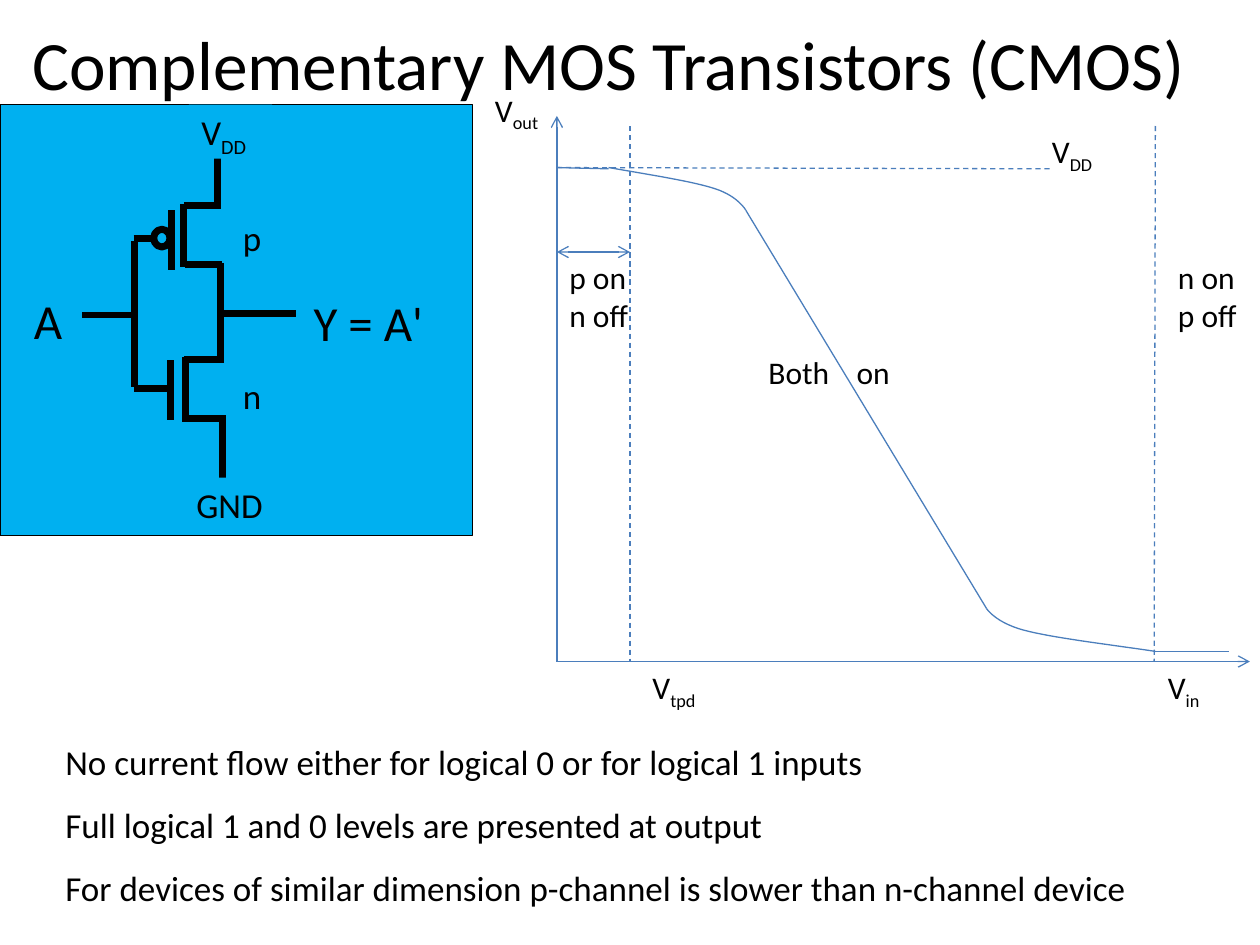
from lxml import etree
from pptx import Presentation
from pptx.dml.color import RGBColor
from pptx.enum.dml import MSO_LINE
from pptx.enum.shapes import MSO_CONNECTOR, MSO_SHAPE
from pptx.enum.text import MSO_ANCHOR, MSO_AUTO_SIZE, PP_ALIGN
from pptx.oxml.ns import qn
from pptx.util import Inches, Pt

STRAIGHT = MSO_CONNECTOR.STRAIGHT
RECTANGLE, OVAL = MSO_SHAPE.RECTANGLE, MSO_SHAPE.OVAL
DASH = MSO_LINE.DASH
FONT, BLACK, PANEL, PLOT = "Calibri", "000000", "00B0F0", "4B7EBC"

TITLE = "Complementary MOS Transistors (CMOS)"

# Circuit: wires as (x1, y1, x2, y2)
WIRES = [
    (1.07, 1.91, 1.07, 3.07), (1.36, 1.67, 1.36, 2.14), (1.35, 2.86, 1.35, 3.33),
    (1.06, 3.08, 1.36, 3.08), (1.06, 1.89, 1.35, 1.89), (1.47, 2.83, 1.47, 3.35),
    (1.46, 1.62, 1.46, 2.12), (1.46, 1.63, 1.75, 1.63), (1.47, 2.1, 1.76, 2.1),
    (1.46, 2.85, 1.75, 2.85), (1.45, 3.32, 1.79, 3.32), (1.76, 2.49, 2.35, 2.49),
    (0.49, 2.5, 1.08, 2.5), (1.75, 2.09, 1.75, 2.88), (1.73, 1.17, 1.73, 1.64),
    (1.77, 3.32, 1.77, 3.79),
]
# (box, text, subscript, size)
CIRCUIT_LABELS = [
    ((1.83, 1.67, 0.34, 0.43), "p", "", 20),
    ((1.83, 2.92, 0.34, 0.43), "n", "", 20),
    ((1.46, 3.79, 0.81, 0.43), "GND", "", 20),
    ((1.5, 0.83, 0.66, 0.43), "V", "DD", 20),
    ((0.17, 2.26, 0.48, 0.57), "A", "", 28),
    ((2.39, 2.27, 1.25, 0.57), "Y = A'", "", 28),
]

# Transfer curve
LEFT, BASE, HIGH, LOW = 4.42, 5.25, 1.33, 5.17
N_ON, P_OFF = 5, 9.17
# (ends, format values)
PLOT_LINES = [
    ((LEFT, 0.92, LEFT, BASE), {"head": True}),
    ((LEFT, BASE, 9.92, BASE), {"tail": True}),
    ((5.92, 1.67, 7.83, 4.83), {}),
    ((P_OFF, LOW, 9.75, LOW), {}),
    ((LEFT, HIGH, 8.33, 1.34), {"dash": DASH}),
    ((LEFT, HIGH, 4.83, 1.34), {}),
    ((N_ON, 1, N_ON, BASE), {"dash": DASH}),
    ((P_OFF, 1, 9.16, BASE), {"dash": DASH}),
    ((LEFT, 2, N_ON, 2), {"head": True, "tail": True}),
]
# Each bend is two cubic curves of four points that share their middle point
BENDS = [
    [(4.83, HIGH), (5.17, 1.39), (5.5, 1.44), (5.68, 1.5), (5.86, 1.56), (5.92, 1.67), (5.92, 1.67)],
    [(P_OFF, LOW), (8.76, 5.11), (8.34, 5.06), (8.12, 5), (7.9, 4.94), (7.83, 4.83), (7.83, 4.83)],
]
# (box, lines of (text, subscript))
PLOT_LABELS = [
    ((8.25, 1, 0.75, 0.4), [("V", "DD")]),
    ((3.83, 0.67, 0.75, 0.4), [("V", "out")]),
    ((9.17, BASE, 0.75, 0.4), [("V", "in")]),
    ((5.08, BASE, 0.75, 0.4), [("V", "tpd")]),
    ((6, 2.75, 1.25, 0.4), [("Both\ton", "")]),
    ((9.25, 2, 0.92, 0.71), [("n on", ""), ("p off", "")]),
    ((LEFT, 2, 0.92, 0.71), [("p on", ""), ("n off", "")]),
]
NOTES = [
    "No current flow either for logical 0 or for logical 1 inputs",
    "Full logical 1 and 0 levels are presented at output",
    "For devices of similar dimension p-channel is slower than n-channel device",
]


def rgb(value):
    return RGBColor.from_string(value)


def inches(values):
    return [Inches(value) for value in values]


def write(shape, lines, size, wrap=True, gap=0):
    """Fill a shape with lines of (text, subscript), gap points apart."""
    frame = shape.text_frame
    options = {"word_wrap": wrap, "auto_size": MSO_AUTO_SIZE.SHAPE_TO_FIT_TEXT,
               "vertical_anchor": MSO_ANCHOR.TOP}
    for name, value in options.items():
        setattr(frame, name, value)
    for index, parts in enumerate(lines):
        paragraph = frame.add_paragraph() if index else frame.paragraphs[0]
        paragraph.alignment = PP_ALIGN.LEFT
        paragraph.space_before = Pt(gap if index else 0)
        for position, text in enumerate(parts):
            if not text:
                continue
            run = paragraph.add_run()
            run.text = text
            style_font(run.font, size)
            if position:
                run.font._element.set("baseline", "-25000")


def style_font(font, size):
    font.name, font.size = FONT, Pt(size)
    font.color.rgb = rgb(BLACK)


def add_line(shapes, ends, color, width, dash=None, head=False, tail=False):
    connector = shapes.add_connector(STRAIGHT, *inches(ends))
    connector.line.color.rgb = rgb(color)
    connector.line.width = Pt(width)
    if dash:
        connector.line.dash_style = dash
    for tag, wanted in (("a:headEnd", head), ("a:tailEnd", tail)):
        if wanted:
            etree.SubElement(connector.line._get_or_add_ln(), qn(tag), type="arrow")
    etree.SubElement(connector._element.spPr, qn("a:effectLst"))


def add_filled(shapes, kind, box, line_width=0):
    shape = shapes.add_shape(kind, *inches(box))
    shape.shadow.inherit = False
    shape.fill.solid()
    shape.fill.fore_color.rgb = rgb(PANEL)
    if line_width:
        shape.line.color.rgb = rgb(BLACK)
        shape.line.width = Pt(line_width)
    else:
        shape.line.fill.background()
    return shape


def cubic(points, steps=16):
    """Points along a cubic curve, after its first one."""
    for step in range(1, steps + 1):
        t = step / steps
        weights = ((1 - t) ** 3, 3 * t * (1 - t) ** 2, 3 * t ** 2 * (1 - t), t ** 3)
        yield tuple(sum(w * point[axis] for w, point in zip(weights, points)) for axis in (0, 1))


def add_bend(shapes, points):
    curve = [inches(point) for point in (*cubic(points[:4]), *cubic(points[3:]))]
    builder = shapes.build_freeform(*inches(points[0]))
    builder.add_line_segments(curve, close=False)
    shape = builder.convert_to_shape()
    shape.shadow.inherit = False
    shape.fill.background()
    shape.line.color.rgb = rgb(PLOT)
    shape.line.width = Pt(0.75)


def add_title(slide):
    title = slide.shapes.title
    title.left, title.top, title.width, title.height = inches((0, 0, 9.66, 1))
    title.text_frame.text = TITLE
    title.text_frame.auto_size = MSO_AUTO_SIZE.NONE
    title.text_frame.vertical_anchor = MSO_ANCHOR.MIDDLE
    paragraph = title.text_frame.paragraphs[0]
    paragraph.alignment = PP_ALIGN.CENTER
    style_font(paragraph.runs[0].font, 39.6)


def add_circuit(slide):
    shapes = slide.shapes.add_group_shape().shapes
    add_filled(shapes, RECTANGLE, (0, 0.83, 3.75, 3.42), 1)
    for ends in WIRES:
        add_line(shapes, ends, BLACK, 4)
    add_filled(shapes, OVAL, (1.22, 1.82, 0.13, 0.14), 4)
    for box, text, subscript, size in CIRCUIT_LABELS:
        write(add_filled(shapes, RECTANGLE, box), [(text, subscript)], size, wrap=False)


def add_plot(slide):
    for ends, options in PLOT_LINES:
        add_line(slide.shapes, ends, PLOT, 0.75, **options)
    for points in BENDS:
        add_bend(slide.shapes, points)
    for box, lines in PLOT_LABELS:
        label = slide.shapes.add_textbox(*inches(box))
        write(label, lines, 18)
        if "\t" in lines[0][0]:
            properties = label.text_frame.paragraphs[0]._p.get_or_add_pPr()
            stops = etree.SubElement(properties, qn("a:tabLst"))
            etree.SubElement(stops, qn("a:tab"), pos=str(Inches(0.7)), algn="l")


def main():
    presentation = Presentation()
    presentation.slide_width, presentation.slide_height = inches((10, 7.5))
    slide = presentation.slides.add_slide(presentation.slide_layouts[5])
    add_title(slide)
    add_circuit(slide)
    add_plot(slide)
    notes = slide.shapes.add_textbox(*inches((0.42, 5.83, 8.92, 1.45)))
    write(notes, [(note,) for note in NOTES], 20, gap=12)
    presentation.save("out.pptx")


if __name__ == "__main__":
    main()
